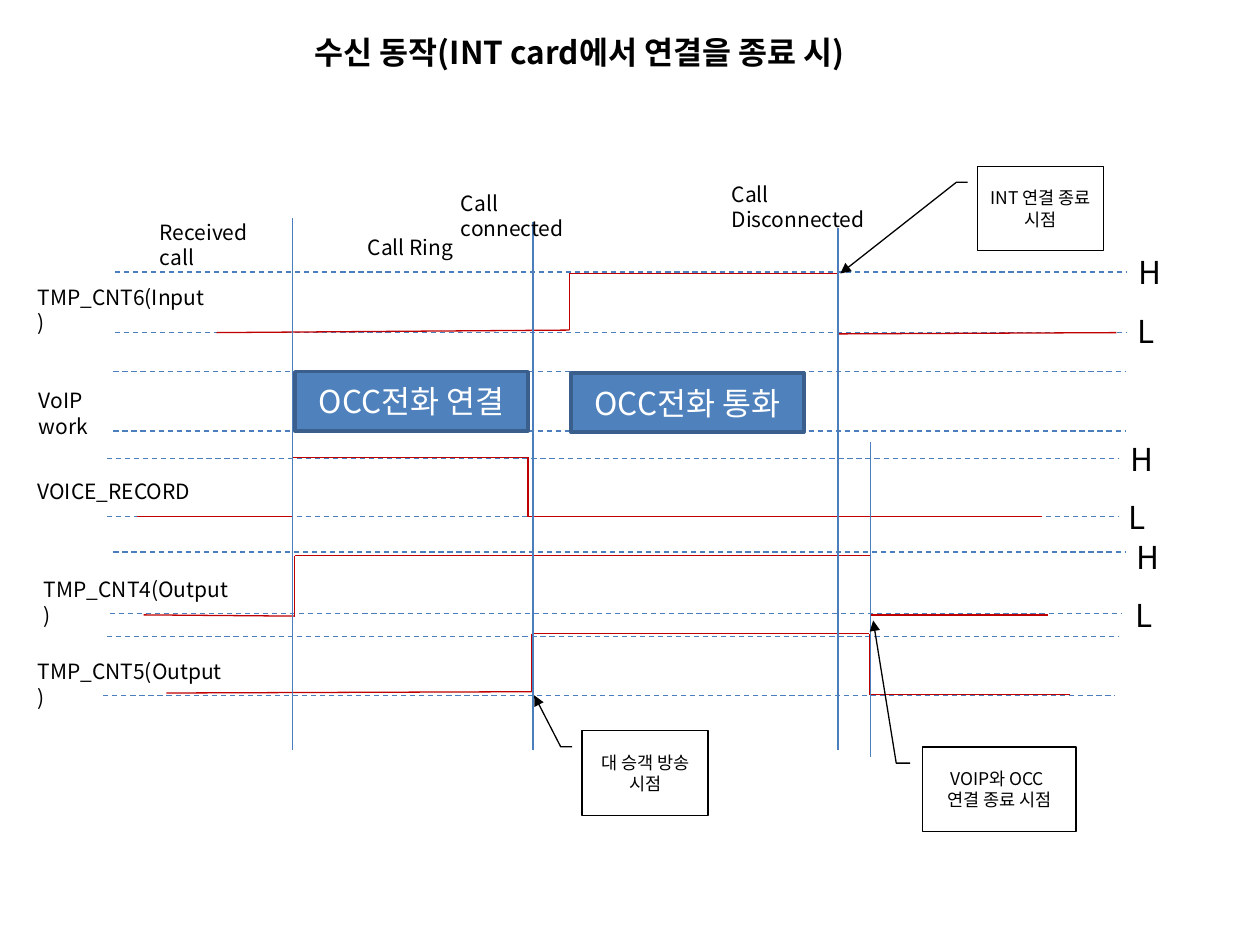
from itertools import pairwise

from lxml import etree
from pptx import Presentation
from pptx.dml.color import RGBColor
from pptx.enum.dml import MSO_LINE
from pptx.enum.shapes import MSO_CONNECTOR, MSO_SHAPE
from pptx.enum.text import MSO_ANCHOR, PP_ALIGN
from pptx.oxml.ns import qn
from pptx.util import Inches, Pt

STRAIGHT = MSO_CONNECTOR.STRAIGHT
RECTANGLE = MSO_SHAPE.RECTANGLE
CALLOUT = MSO_SHAPE.LINE_CALLOUT_2
DASH = MSO_LINE.DASH
MIDDLE = MSO_ANCHOR.MIDDLE
LEFT, CENTER = PP_ALIGN.LEFT, PP_ALIGN.CENTER

COLORS = {"text": "000000", "white": "FFFFFF", "guide": "4B7EBC",
          "signal": "C00000", "box": "4F81BD", "box_line": "3A5F8C"}
FONT = "Noto Sans CJK KR"
GUIDE_WIDTH = 8.03

# Signal rows: guide left, high level, low level
ROWS = [(0.91, 2.16, 2.64), (0.9, 2.95, 3.42), (0.85, 3.64, 4.1),
        (0.9, 4.38, 4.87), (0.85, 5.05, 5.52)]

# Corner points of each waveform
WAVES = [
    [(1.72, 2.64), (4.52, 2.62), (4.52, 2.17), (6.65, 2.17), (6.65, 2.65), (8.86, 2.64)],
    [(1.09, 4.1), (2.32, 4.1), (2.32, 3.63), (4.19, 3.63), (4.19, 4.1), (8.27, 4.1)],
    [(1.14, 4.88), (2.34, 4.89), (2.34, 4.41), (6.91, 4.41), (6.91, 4.88), (8.32, 4.88)],
    [(1.32, 5.5), (4.22, 5.49), (4.22, 5.03), (6.9, 5.03), (6.9, 5.51), (8.49, 5.51)],
]

# Event markers: x, top, bottom
EVENTS = [(2.32, 1.73, 5.95), (4.23, 1.76, 5.95), (6.65, 1.81, 5.95), (6.91, 3.51, 6.01)]

# Labels: text, left, top, width
LABELS = [
    ("TMP_CNT6(Input)", 0.2, 2.21, 1.53),
    ("VoIP work", 0.21, 3.03, 0.97),
    ("VOICE_RECORD", 0.2, 3.75, 1.45),
    ("TMP_CNT4(Output)", 0.25, 4.53, 1.68),
    ("TMP_CNT5(Output)", 0.2, 5.18, 1.68),
    ("Received call", 1.17, 1.69, 1.18),
    ("Call Ring", 2.82, 1.81, 0.89),
    ("Call connected", 3.56, 1.46, 1.33),
    ("Call Disconnected", 5.71, 1.39, 1.57),
]

# Level letters: left of H, top of H, top of L
LEVELS = [(8.94, 1.96, 2.43), (8.87, 3.44, 3.9), (8.92, 4.22, 4.68)]

# Callouts: lines, left, top, width, pointer tip as (y, x) share of the box
CALLOUTS = [
    (["대 승객 방송 시점"], 4.62, 5.8, 1, (-0.42, -0.38)),
    (["INT 연결 종료 시점"], 7.76, 1.32, 1, (1.27, -1.09)),
    (["VOIP와 OCC ", "연결 종료 시점"], 7.32, 5.93, 1.22, (-1.5, -0.32)),
]


class TimingPage:
    def __init__(self, page):
        self.page = page

    def fill_text(self, frame, lines, size, color="text", align=LEFT, bold=False):
        frame.word_wrap = True
        for index, line in enumerate(lines):
            para = frame.add_paragraph() if index else frame.paragraphs[0]
            para.text = line
            para.alignment = align
            font = para.font
            font.size, font.bold, font.name = Pt(size), bold, FONT
            font.color.rgb = RGBColor.from_string(COLORS[color])
            # East Asian typeface for the Korean text
            defaults = para._p.pPr.find(qn("a:defRPr"))
            etree.SubElement(defaults, qn("a:ea"), typeface=FONT)

    def label(self, text, left, top, width, height=0.3, size=12, bold=False):
        box = self.page.shapes.add_textbox(Inches(left), Inches(top), Inches(width), Inches(height))
        self.fill_text(box.text_frame, [text], size, bold=bold)

    def line(self, start, end, color, dash=None):
        points = [Inches(value) for value in (*start, *end)]
        connector = self.page.shapes.add_connector(STRAIGHT, *points)
        connector.line.color.rgb = RGBColor.from_string(COLORS[color])
        connector.line.width = Pt(0.75)
        if dash:
            connector.line.dash_style = dash
        etree.SubElement(connector._element.spPr, qn("a:effectLst"))

    def block(self, kind, lines, place, fill, outline, weight, size, color):
        shape = self.page.shapes.add_shape(kind, *[Inches(value) for value in place])
        shape.shadow.inherit = False
        shape.fill.solid()
        shape.fill.fore_color.rgb = RGBColor.from_string(COLORS[fill])
        shape.line.color.rgb = RGBColor.from_string(COLORS[outline])
        shape.line.width = Pt(weight)
        shape.text_frame.vertical_anchor = MIDDLE
        self.fill_text(shape.text_frame, lines, size, color, CENTER)
        return shape

    def activity(self, text, left, top):
        self.block(RECTANGLE, [text], (left, top, 1.85, 0.47), "box", "box_line", 2, 18, "white")

    def callout(self, lines, left, top, width, tip):
        shape = self.block(CALLOUT, lines, (left, top, width, 0.67), "white", "text", 0.75, 10, "text")
        for index, value in enumerate((0.19, -0.08, 0.19, -0.17, *tip)):
            shape.adjustments[index] = value
        outline = shape._element.spPr.find(qn("a:ln"))
        etree.SubElement(outline, qn("a:tailEnd"), type="triangle")


def main():
    deck = Presentation()
    deck.slide_width, deck.slide_height = Inches(10), Inches(7.5)
    chart = TimingPage(deck.slides.add_slide(deck.slide_layouts[6]))

    # Title
    chart.label("수신 동작(INT card에서 연결을 종료 시)", 2.4, 0.21, 4.8, 0.4, 18, True)

    # Level guides; the low guides of the two output rows start further left
    for index, (left, high, low) in enumerate(ROWS):
        low_left = left - 0.03 if index > 2 else left
        chart.line((left, high), (left + GUIDE_WIDTH, high), "guide", DASH)
        chart.line((low_left, low), (low_left + GUIDE_WIDTH, low), "guide", DASH)

    # Waveforms
    for wave in WAVES:
        for start, end in pairwise(wave):
            chart.line(start, end, "signal")

    # Event markers
    for x, top, bottom in EVENTS:
        chart.line((x, top), (x, bottom), "guide")

    # Phone activity
    chart.activity("OCC전화 연결", 2.34, 2.95)
    chart.activity("OCC전화 통화", 4.53, 2.96)

    # Labels and level letters
    for label in LABELS:
        chart.label(*label)
    for left, high_top, low_top in LEVELS:
        chart.label("H", left, high_top, 0.38, 0.4, 18)
        chart.label("L", left - 0.01, low_top, 0.32, 0.4, 18)

    # Callouts
    for callout in CALLOUTS:
        chart.callout(*callout)

    deck.save("out.pptx")


if __name__ == "__main__":
    main()
